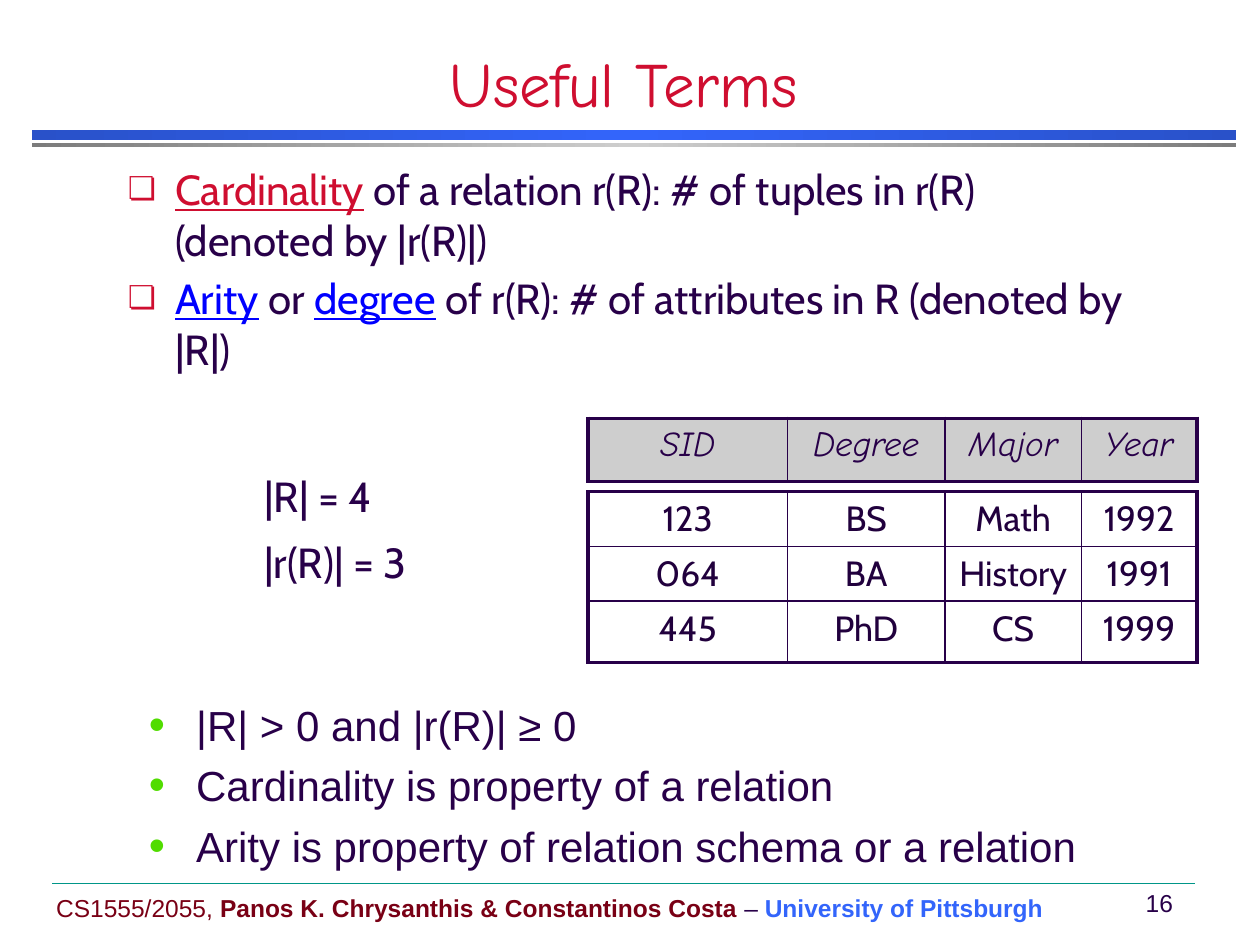
from copy import deepcopy

from lxml import etree
from pptx import Presentation
from pptx.dml.color import RGBColor
from pptx.enum import shapes, text
from pptx.oxml import ns
from pptx.util import Pt

HUES = {
    "ink": "280049", "cell": "21003D", "red": "CF0E30", "link": "0000FF",
    "wine": "790015", "blue": "3365FB", "navy": "2951C9", "grey": "7C7C7C",
    "pale": "CECECE", "lime": "51DC00", "teal": "009688",
}
COLS = (114, 90, 78, 66)
LEFT, MID = text.PP_ALIGN.LEFT, text.PP_ALIGN.CENTER


def rgb(name):
    return RGBColor.from_string(HUES[name])


def sub(node, tag, **attrs):
    return etree.SubElement(node, ns.qn(tag), {k: str(v) for k, v in attrs.items()})


def add_run(para, words, size, face, hue="ink", bold=False, line=False, slant=False):
    run = para.add_run()
    run.text = words
    font = run.font
    font.size, font.name = Pt(size), face
    font.bold, font.italic, font.underline = bold, slant, line
    font.color.rgb = rgb(hue)


def add_mark(para, char, hue, scale):
    """Give a paragraph a coloured bullet with a hanging indent."""
    props = para._p.get_or_add_pPr()
    props.set("marL", str(Pt(27)))
    props.set("indent", str(-Pt(27)))
    sub(sub(props, "a:buClr"), "a:srgbClr", val=HUES[hue])
    sub(props, "a:buSzPct", val=scale * 1000)
    sub(props, "a:buFont", typeface="Arial")
    sub(props, "a:buChar", char=char)


def add_text(slide, box, paras, size, face, align=LEFT, gap=0, lead=None,
             mark=None, anchor=text.MSO_ANCHOR.TOP, wrap=True):
    """Add a text box; each paragraph is a list of (words, run options)."""
    frame = slide.shapes.add_textbox(*map(Pt, box)).text_frame
    frame.word_wrap, frame.vertical_anchor = wrap, anchor
    for i, runs in enumerate(paras):
        para = frame.add_paragraph() if i else frame.paragraphs[0]
        para.alignment = align
        if lead:
            para.line_spacing = lead
        if i:
            para.space_before = Pt(gap)
        if mark:
            add_mark(para, *mark)
        for words, opts in runs:
            add_run(para, words, size, face, **opts)


def add_bar(slide, top, height, edge, core):
    bar = slide.shapes.add_shape(
        shapes.MSO_SHAPE.RECTANGLE, Pt(18), Pt(top), Pt(688.5), Pt(height))
    bar.shadow.inherit = False
    bar.line.fill.background()
    bar.fill.gradient()
    bar.fill.gradient_angle = 0
    for stop, hue, place in zip(bar.fill.gradient_stops, (edge, core), (0, 0.5)):
        stop.color.rgb = rgb(hue)
        stop.position = place
    stops = bar._element.spPr.find(".//" + ns.qn("a:gsLst"))
    last = deepcopy(stops[0])
    last.set("pos", "100000")
    stops.append(last)


def add_rule(slide):
    rule = slide.shapes.add_connector(
        shapes.MSO_CONNECTOR.STRAIGHT, Pt(30), Pt(504.5), Pt(683), Pt(504.5))
    rule.line.color.rgb = rgb("teal")
    rule.line.width = Pt(0.25)
    sub(rule._element.spPr, "a:effectLst")


def set_edges(cell, outer):
    """Draw cell borders, thick where the side is on the table's outline."""
    props = cell._tc.get_or_add_tcPr()
    for i, (side, thick) in enumerate(zip("LRTB", outer)):
        edge = etree.Element(ns.qn("a:ln" + side), w=str(Pt(2.25 if thick else 1)))
        sub(sub(edge, "a:solidFill"), "a:srgbClr", val=HUES["ink"])
        props.insert(i, edge)


def add_grid(slide, top, heights, rows, face, hue="ink", fill=None, slant=False):
    grid = slide.shapes.add_table(
        len(rows), len(COLS), Pt(336), Pt(top), Pt(sum(COLS)), Pt(sum(heights))).table
    grid.first_row = grid.horz_banding = False
    for col, width in zip(grid.columns, COLS):
        col.width = Pt(width)
    for r, (row, height) in enumerate(zip(rows, heights)):
        grid.rows[r].height = Pt(height)
        for c, words in enumerate(row):
            cell = grid.cell(r, c)
            if fill:
                cell.fill.solid()
                cell.fill.fore_color.rgb = rgb(fill)
            else:
                cell.fill.background()
            set_edges(cell, (c == 0, c == len(COLS) - 1, r == 0, r == len(rows) - 1))
            para = cell.text_frame.paragraphs[0]
            para.alignment = MID
            add_run(para, words, 20, face, hue, slant=slant)


def add_foot(slide):
    anchor = text.MSO_ANCHOR.MIDDLE
    add_rule(slide)
    add_text(slide, (25, 506.5, 584, 24), [[
        ("CS1555/2055, ", {"hue": "wine"}),
        ("Panos K. Chrysanthis & Constantinos Costa ", {"hue": "wine", "bold": True}),
        ("– ", {}),
        ("University of Pittsburgh", {"hue": "blue", "bold": True}),
    ]], 14, "Arial", anchor=anchor, wrap=False)
    add_text(slide, (645, 504, 35, 24), [[("16", {})]], 14, "Arial", MID,
             anchor=anchor, wrap=False)


def main():
    deck = Presentation()
    deck.slide_width, deck.slide_height = Pt(720), Pt(540)
    slide = deck.slides.add_slide(deck.slide_layouts[6])
    add_bar(slide, 74.25, 5.75, "navy", "blue")
    add_bar(slide, 82, 2.2, "grey", "pale")
    add_foot(slide)
    add_text(slide, (0, 30, 713, 42), [[("Useful Terms", {"hue": "red"})]],
             36, "Comic Neue", MID, anchor=text.MSO_ANCHOR.BOTTOM)

    link = {"hue": "link", "line": True}
    add_text(slide, (66, 90, 588, 138), [
        [("Cardinality", {"hue": "red", "line": True}),
         (" of a relation r(R): # of tuples in r(R) (denoted by |r(R)|)", {})],
        [("Arity", link), (" or ", {}), ("degree", link),
         (" of r(R): # of attributes in R (denoted by |R|)", {})],
    ], 24, "Cabin", gap=4.8, mark=("❏", "red", 75))

    add_grid(slide, 281, (31, 31, 35), [
        ("123", "BS", "Math", "1992"),
        ("064", "BA", "History", "1991"),
        ("445", "PhD", "CS", "1999"),
    ], "Cabin", "cell")
    add_grid(slide, 239, (36,), [("SID", "Degree", "Major", "Year")],
             "Comic Neue", fill="pale", slant=True)

    facts = ("|R| > 0 and |r(R)| ≥ 0", "Cardinality is property of a relation",
             "Arity is property of relation schema or a relation")
    add_text(slide, (78, 396, 612, 96), [[(fact, {})] for fact in facts],
             24, "Arial", gap=5.8, mark=("•", "lime", 110))
    add_text(slide, (144, 268.5, 144, 79), [[("|R| = 4", {})], [("|r(R)| = 3", {})]],
             24, "Cabin", gap=12, lead=0.9)
    deck.save("out.pptx")


if __name__ == "__main__":
    main()
